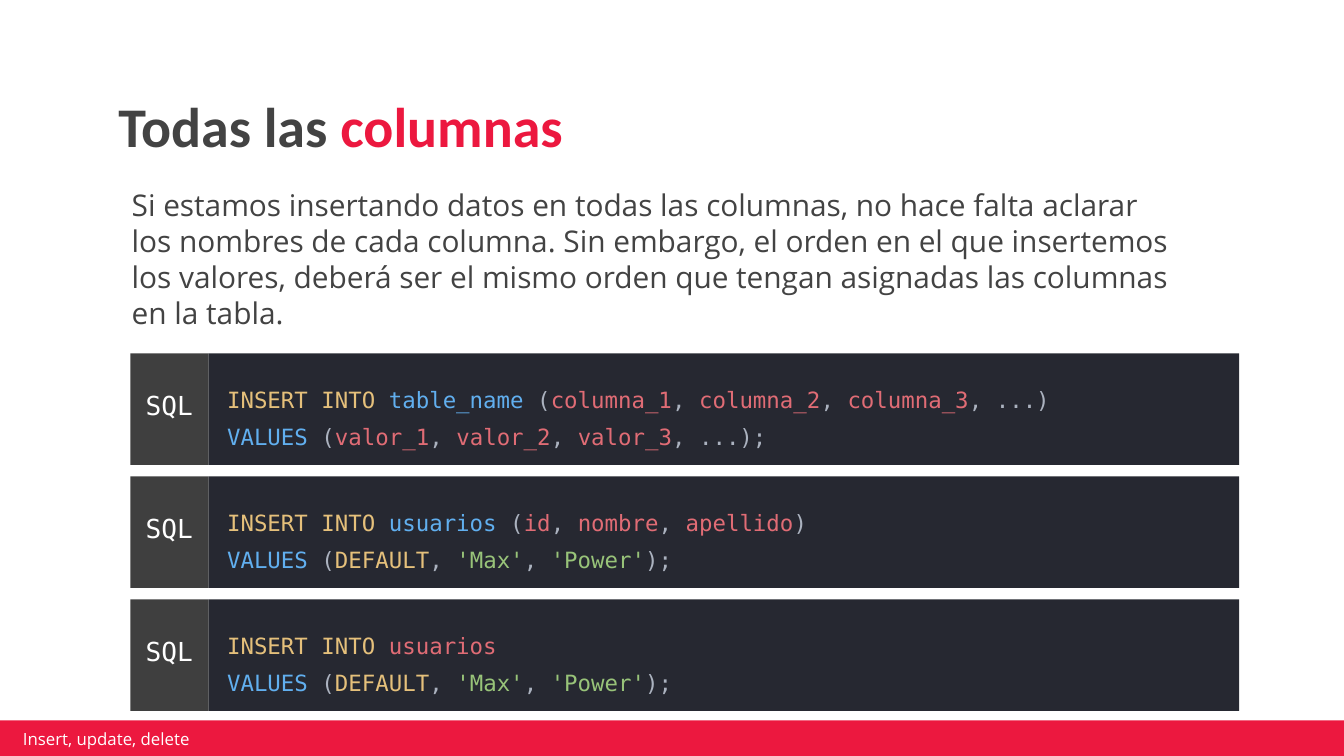
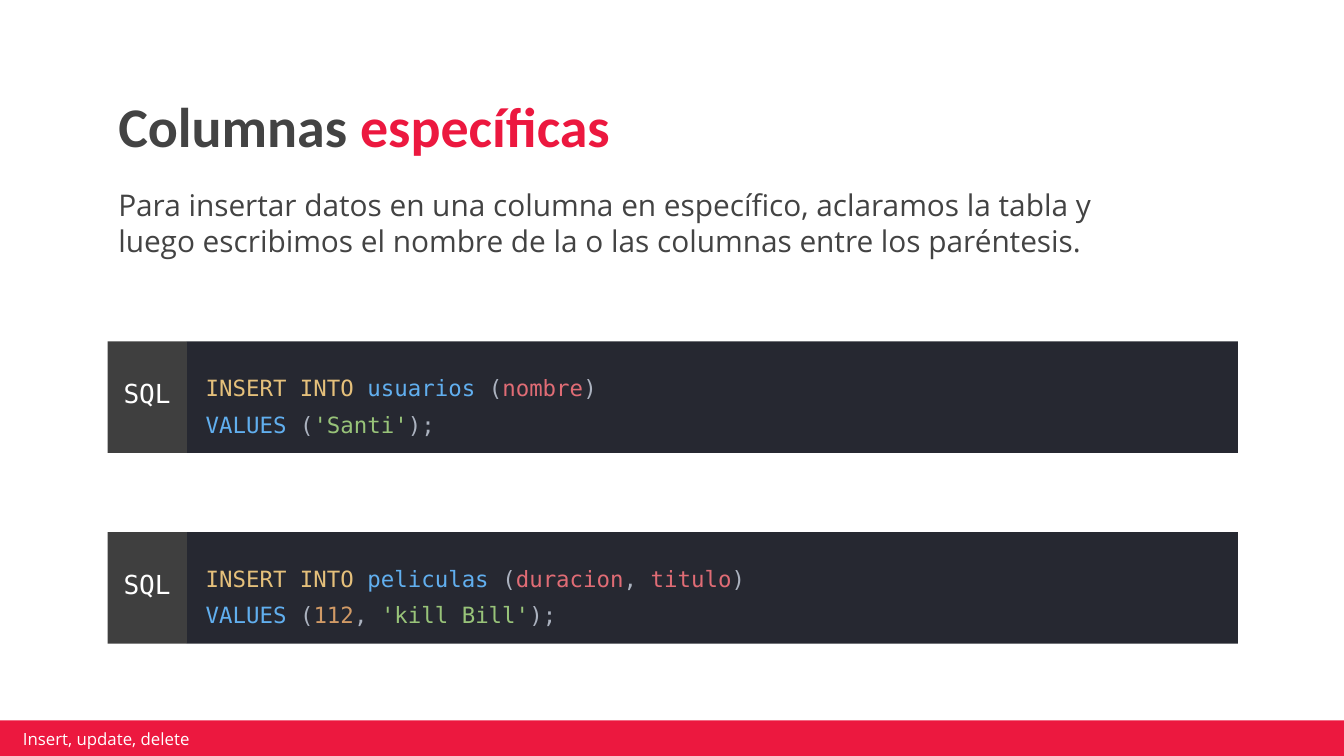
from dataclasses import dataclass

from pptx import Presentation
from pptx.dml.color import RGBColor
from pptx.enum.shapes import MSO_SHAPE
from pptx.enum.text import MSO_ANCHOR, MSO_AUTO_SIZE, PP_ALIGN
from pptx.oxml.ns import qn
from pptx.util import Inches, Pt


@dataclass(frozen=True)
class Theme:
    """Colours, fonts and type sizes of the deck."""

    accent: str = "EC183F"
    ink: str = "434343"
    white: str = "FFFFFF"
    panel: str = "262831"
    tab: str = "3F3F3F"
    keyword: str = "E5C07B"
    table: str = "61AFEF"
    name: str = "E06C75"
    string: str = "98C379"
    number: str = "D19A66"
    punct: str = "ABB2BF"
    head_font: str = "Calibri"
    body_font: str = "Open Sans"
    code_font: str = "DejaVu Sans Mono"
    title_size: int = 30
    body_size: int = 16
    tab_size: int = 14
    code_size: int = 12
    footer_size: int = 9


T = Theme()
FOOTER = "Insert, update, delete"
PANEL_H = 0.83

SLIDES = [
    dict(
        title=("Todas las ", "columnas"),
        body="Si estamos insertando datos en todas las columnas, no hace falta aclarar "
             "los nombres de cada columna. Sin embargo, el orden en el que insertemos los "
             "valores, deberá ser el mismo orden que tengan asignadas las columnas en la tabla.",
        body_left=0.88,
        code_box=(0.97, 2.63, 8.25, 2.66),
        tab_width=0.58,
        statements=[
            ("table_name", ("columna_1", "columna_2", "columna_3", "..."),
             ("valor_1", "valor_2", "valor_3", "...")),
            ("usuarios", ("id", "nombre", "apellido"), ("DEFAULT", "'Max'", "'Power'")),
            ("usuarios", (), ("DEFAULT", "'Max'", "'Power'")),
        ],
    ),
    dict(
        title=("Columnas ", "específicas"),
        body="Para insertar datos en una columna en específico, aclaramos la tabla y luego "
             "escribimos el nombre de la o las columnas entre los paréntesis.",
        body_left=0.78,
        code_box=(0.8, 2.54, 8.41, 2.25),
        tab_width=0.59,
        statements=[
            ("usuarios", ("nombre",), ("'Santi'",)),
            ("peliculas", ("duracion", "titulo"), ("112", "'kill Bill'")),
        ],
    ),
]


def place(sp, left, top, width, height):
    """Move a shape to a box given in inches."""
    sp.left, sp.top = Inches(left), Inches(top)
    sp.width, sp.height = Inches(width), Inches(height)


def write(sp, lines, font, size, bold=False, align=PP_ALIGN.LEFT, anchor=MSO_ANCHOR.TOP,
          insets=(0.1, 0.1, 0.1, 0.1), spacing=1.0, before=0):
    """Fill a shape with lines, each a list of (text, colour) runs."""
    tf = sp.text_frame
    tf.word_wrap = True
    tf.auto_size = MSO_AUTO_SIZE.NONE
    tf.vertical_anchor = anchor
    tf.margin_left, tf.margin_top, tf.margin_right, tf.margin_bottom = map(Inches, insets)
    for i, line in enumerate(lines):
        p = tf.add_paragraph() if i else tf.paragraphs[0]
        p.alignment = align
        p.line_spacing = spacing
        p.space_before = Pt(before)
        for text, colour in line:
            r = p.add_run()
            r.text = text
            r.font.name = font
            r.font.size = Pt(size)
            r.font.bold = bold
            r.font.color.rgb = RGBColor.from_string(colour)


def add_rect(shapes, box, fill):
    """Add a plain filled rectangle."""
    sp = shapes.add_shape(MSO_SHAPE.RECTANGLE, *map(Inches, box))
    sp.shadow.inherit = False
    sp.fill.solid()
    sp.fill.fore_color.rgb = RGBColor.from_string(fill)
    sp.line.fill.background()
    return sp


def value_colour(value):
    """Pick the highlight colour of a column or value."""
    if value == "...":
        return T.punct
    if value.startswith("'"):
        return T.string
    if value.isdigit():
        return T.number
    return T.keyword if value.isupper() else T.name


def listing(values, end):
    """Return the runs of a list in parentheses."""
    runs = [(" (", T.punct)]
    for i, value in enumerate(values):
        if i:
            runs.append((", ", T.punct))
        runs.append((value, value_colour(value)))
    return runs + [(end, T.punct)]


def insert_lines(table, columns, values):
    """Return the two highlighted lines of an INSERT statement."""
    first = [("INSERT INTO ", T.keyword), (table, T.table if columns else T.name)]
    if columns:
        first += listing(columns, ")")
    return [first, [("VALUES", T.table)] + listing(values, ");")]


def add_code(s, box, tab_width, lines):
    """Add a code panel with its language tab."""
    left, top, width, height = box
    shapes = s.shapes.add_group_shape().shapes
    sp = add_rect(shapes, (left + tab_width, top, width - tab_width, height), T.panel)
    write(sp, lines, T.code_font, T.code_size, anchor=MSO_ANCHOR.MIDDLE,
          insets=(0.14, 0.16, 0.1, 0.1), spacing=1.36)
    sp = add_rect(shapes, (left, top, tab_width, height), T.tab)
    write(sp, [[("SQL", T.white)]], T.code_font, T.tab_size, align=PP_ALIGN.CENTER,
          anchor=MSO_ANCHOR.MIDDLE, insets=(0.1, 0.04, 0.1, 0.1))


def add_code_stack(s, box, tab_width, statements):
    """Spread code panels evenly from top to bottom of a box."""
    left, top, width, height = box
    step = (height - PANEL_H) / (len(statements) - 1)
    for i, statement in enumerate(statements):
        add_code(s, (left, top + i * step, width, PANEL_H), tab_width, insert_lines(*statement))


def add_title(s, box, plain, accent):
    """Set the two-colour title."""
    sp = s.shapes.title
    place(sp, *box)
    write(sp, [[(plain, T.ink), (accent, T.accent)]], T.head_font, T.title_size,
          bold=True, anchor=MSO_ANCHOR.BOTTOM, spacing=0.9)


def add_body(s, box, text):
    """Set the explanation without a bullet."""
    sp = s.placeholders[1]
    place(sp, *box)
    write(sp, [[(text, T.ink)]], T.body_font, T.body_size, before=6)
    pPr = sp.text_frame.paragraphs[0]._p.get_or_add_pPr()
    pPr.set("marL", "0")
    pPr.set("indent", "0")
    pPr.append(pPr.makeelement(qn("a:buNone"), {}))


def add_footer(s, box):
    """Add the coloured band and its label."""
    left, top, width, height = box
    add_rect(s.shapes, box, T.accent)
    sp = s.shapes.add_textbox(*map(Inches, (left + 0.14, top + 0.06, 2.39, 0.15)))
    write(sp, [[(FOOTER, T.white)]], T.body_font, T.footer_size,
          anchor=MSO_ANCHOR.MIDDLE, insets=(0.05, 0.02, 0.05, 0.02))


def add_sql_slide(prs, title, body, body_left, code_box, tab_width, statements):
    """Build one slide of explanation and SQL examples."""
    s = prs.slides.add_slide(prs.slide_layouts[1])
    add_footer(s, (-0.02, 5.36, 10.03, 0.27))
    add_title(s, (0.78, 0.6, 8.43, 0.69), *title)
    add_body(s, (body_left, 1.29, 8.04, 0.74), body)
    add_code_stack(s, code_box, tab_width, statements)


def main():
    """Build and save the deck."""
    prs = Presentation()
    prs.slide_width = Inches(10)
    prs.slide_height = prs.slide_width * 9 // 16
    for content in SLIDES:
        add_sql_slide(prs, **content)
    prs.save("out.pptx")


if __name__ == "__main__":
    main()
